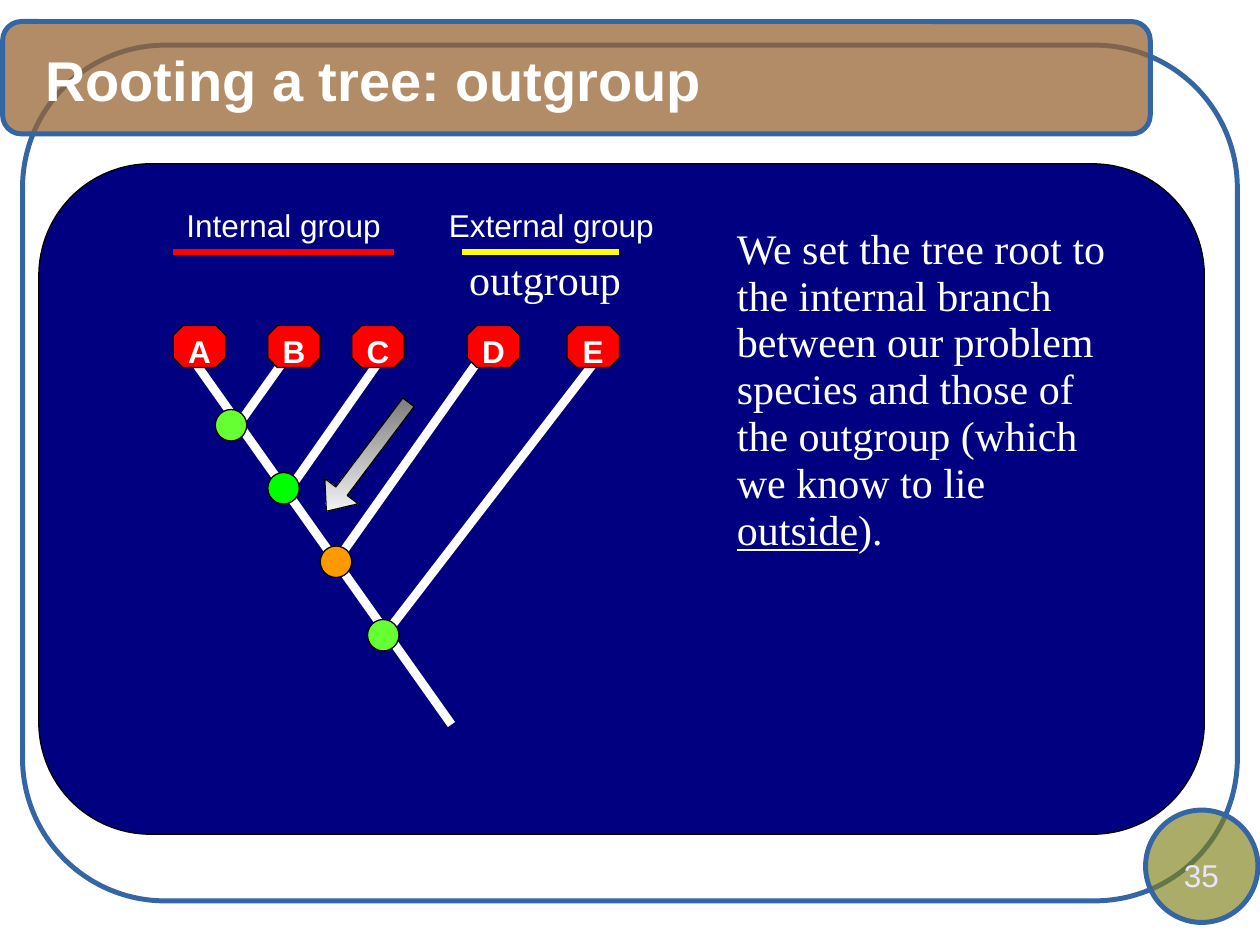
from pptx import Presentation
from pptx.dml.color import RGBColor
from pptx.enum.shapes import MSO_CONNECTOR, MSO_SHAPE
from pptx.enum.text import MSO_ANCHOR, PP_ALIGN
from pptx.oxml.ns import qn
from pptx.oxml.xmlchemy import OxmlElement
from pptx.util import Inches, Pt

ROUNDED = MSO_SHAPE.ROUNDED_RECTANGLE
OVAL = MSO_SHAPE.OVAL
OCTAGON = MSO_SHAPE.OCTAGON
LEFT_ARROW = MSO_SHAPE.LEFT_ARROW
STRAIGHT = MSO_CONNECTOR.STRAIGHT
LEFT, CENTER = PP_ALIGN.LEFT, PP_ALIGN.CENTER
TOP, MIDDLE = MSO_ANCHOR.TOP, MSO_ANCHOR.MIDDLE

WHITE, BLACK, RED, BLUE = "FFFFFF", "000000", "FF0000", "3465A4"
SANS, SERIF = "Arial", "Times New Roman"
INSETS = (0.1, 0.05)
CELLS_PER_INCH = 24  # the slide is a grid of 240 columns by 180 rows

LEAF_ROW, LEAF_WIDTH, LEAF_HEIGHT = 62, 10, 8
NODE_SIZE = 6

LEAVES = {"A": 33, "B": 51, "C": 67, "D": 89, "E": 108}  # left column
BRANCHES = [  # from column, row to column, row
    (35, 66, 86, 138),
    (45.4, 80.9, 56, 66),
    (54.7, 93.8, 73.2, 67.4),
    (64, 107, 93, 66),
    (74, 120, 114, 68),
]
NODES = [  # left column, top row, colour
    (61, 104, "FF9900"),
    (51, 90, "00FF00"),
    (41, 78, "66FF33"),
    (70, 118, "66FF33"),
]
GROUP_LABELS = [  # text, label column and width, rule start and end, rule colour
    ("Internal group", 33, 42, 33, 75, RED),
    ("External group", 78, 54, 88, 118, "FFFF00"),
]


def cells(*counts):
    return [Inches(count / CELLS_PER_INCH) for count in counts]


def color(value):
    return RGBColor.from_string(value)


def add_shape(shapes, kind, box, fill=None, line=BLACK, width=0.75, opacity=None):
    shape = shapes.add_shape(kind, *cells(*box))
    shape.shadow.inherit = False
    if fill:
        shape.fill.solid()
        shape.fill.fore_color.rgb = color(fill)
    if opacity:
        alpha = OxmlElement("a:alpha")
        alpha.set("val", str(opacity * 1000))
        shape._element.spPr.find(qn("a:solidFill"))[0].append(alpha)
    shape.line.color.rgb = color(line)
    shape.line.width = Pt(width)
    return shape


def add_line(shapes, ends, line, width):
    connector = shapes.add_connector(STRAIGHT, *cells(*ends))
    connector.line.color.rgb = color(line)
    connector.line.width = Pt(width)
    connector._element.spPr.append(OxmlElement("a:effectLst"))


def add_text(shapes, box, runs, size, font=SANS, fill=WHITE, bold=False,
             align=LEFT, anchor=TOP, insets=INSETS, spacing=None):
    """Write one paragraph; runs is a list of (text, underlined) pairs."""
    frame = shapes.add_textbox(*cells(*box)).text_frame
    frame.word_wrap = True
    frame.vertical_anchor = anchor
    frame.margin_left = frame.margin_right = Inches(insets[0])
    frame.margin_top = frame.margin_bottom = Inches(insets[1])
    paragraph = frame.paragraphs[0]
    paragraph.alignment = align
    if spacing:
        paragraph.line_spacing = spacing
    for text, underlined in runs:
        run = paragraph.add_run()
        run.text = text
        run.font.name = font
        run.font.size = Pt(size)
        run.font.bold = bold
        run.font.underline = underlined
        run.font.color.rgb = color(fill)


def add_leaf(shapes, name, column):
    group = shapes.add_group_shape().shapes
    box = (column, LEAF_ROW, LEAF_WIDTH, LEAF_HEIGHT)
    octagon = add_shape(group, OCTAGON, box, RED)
    octagon.adjustments[0] = 0.23
    add_text(group, (column, LEAF_ROW, LEAF_WIDTH, 9), [(name, False)], 18,
             bold=True, align=CENTER)


def add_direction_arrow(shapes):
    arrow = add_shape(shapes, LEFT_ARROW, (57, 83, 26, 8))
    arrow.adjustments[0], arrow.adjustments[1] = 0.34, 0.6
    arrow.rotation = 307
    arrow.fill.gradient()
    arrow.fill.gradient_angle = 270
    for stop, shade in zip(arrow.fill.gradient_stops, ("757575", WHITE)):
        stop.color.rgb = color(shade)
    # keep the shading vertical although the arrow is turned
    arrow._element.spPr.find(qn("a:gradFill")).set("rotWithShape", "0")


def add_background(shapes):
    add_shape(shapes, ROUNDED, (4.3, 8.6, 231.4, 163), WHITE, BLUE, 2.83, 90)
    add_shape(shapes, ROUNDED, (0.5, 4.1, 218.6, 21.4), "996633", BLUE, 2.83, 75)
    add_shape(shapes, OVAL, (218.2, 154.3, 21.4, 21.4), "808019", BLUE, 2.83, 65)
    add_text(shapes, (8.6, 4.3, 201.4, 21.4), [("Rooting a tree: outgroup", False)],
             32, bold=True, anchor=MIDDLE, insets=(0, 0))
    add_shape(shapes, ROUNDED, (7.4, 31.2, 222, 127.7), "000080", width=0)


def add_tree(shapes):
    for branch in BRANCHES:
        add_line(shapes, branch, WHITE, 5)
    for column, row, fill in NODES:
        add_shape(shapes, OVAL, (column, row, NODE_SIZE, NODE_SIZE), fill)
    for name, column in LEAVES.items():
        add_leaf(shapes, name, column)
    add_direction_arrow(shapes)


def add_group_labels(shapes):
    for text, column, width, start, end, fill in GROUP_LABELS:
        add_line(shapes, (start, 48, end, 48), fill, 3)
        add_text(shapes, (column, 38, width, 9), [(text, False)], 18, align=CENTER)
    add_text(shapes, (87, 48, 36, 11.3), [("outgroup", False)], 24, SERIF,
             spacing=0.93)


def main():
    presentation = Presentation()
    presentation.slide_width, presentation.slide_height = cells(240, 180)
    slide = presentation.slides.add_slide(presentation.slide_layouts[6])
    shapes = slide.shapes

    # Frame, title bar and panel
    add_background(shapes)

    # Tree with its group labels
    add_tree(shapes)
    add_group_labels(shapes)

    # Explanation
    explanation = [
        ("We set the tree root to the internal branch between our problem species "
         "and those of the outgroup (which we know to lie ", False),
        ("outside", True),
        (").", False),
    ]
    add_text(shapes, (138, 42, 78, 64.3), explanation, 24, SERIF, spacing=0.93)

    # Slide number
    add_text(shapes, (222, 163, 13.7, 8.2), [("35", False)], 18, fill="E6E6FF",
             align=CENTER, insets=(0, 0))

    presentation.save("out.pptx")


if __name__ == "__main__":
    main()
